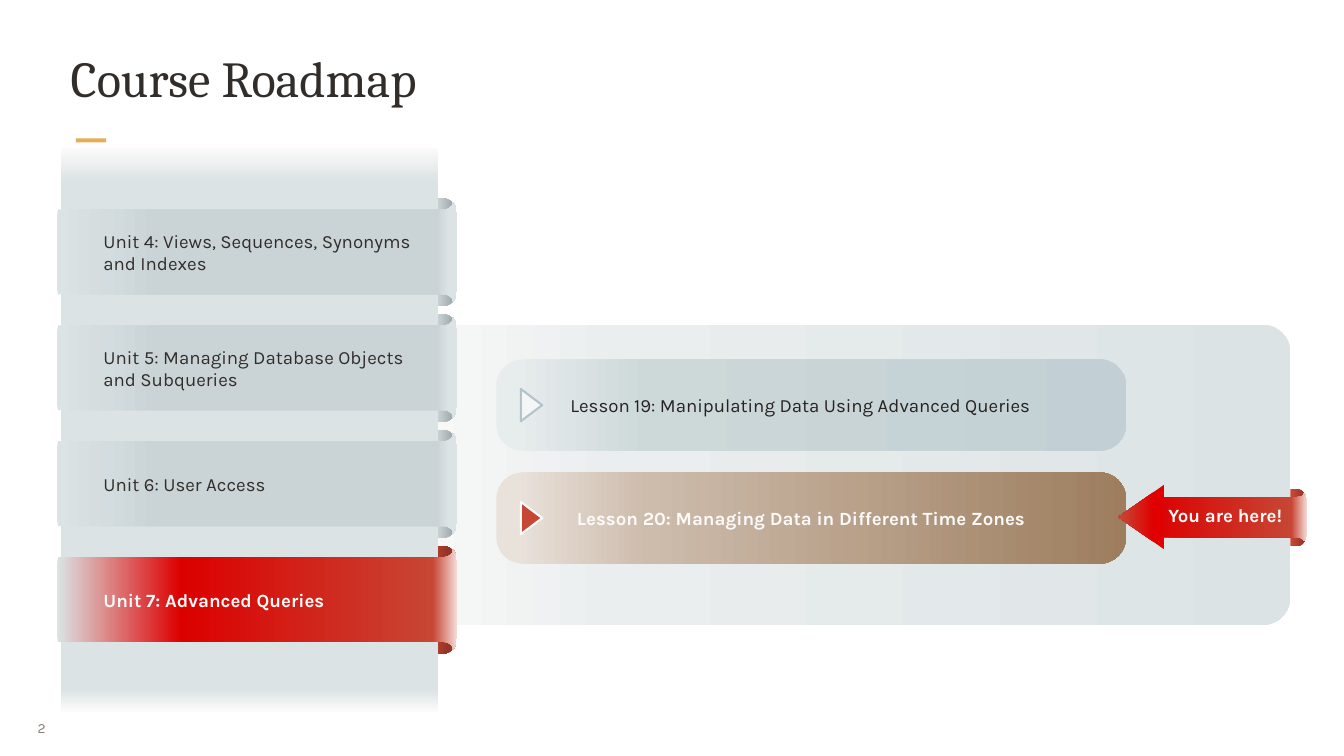
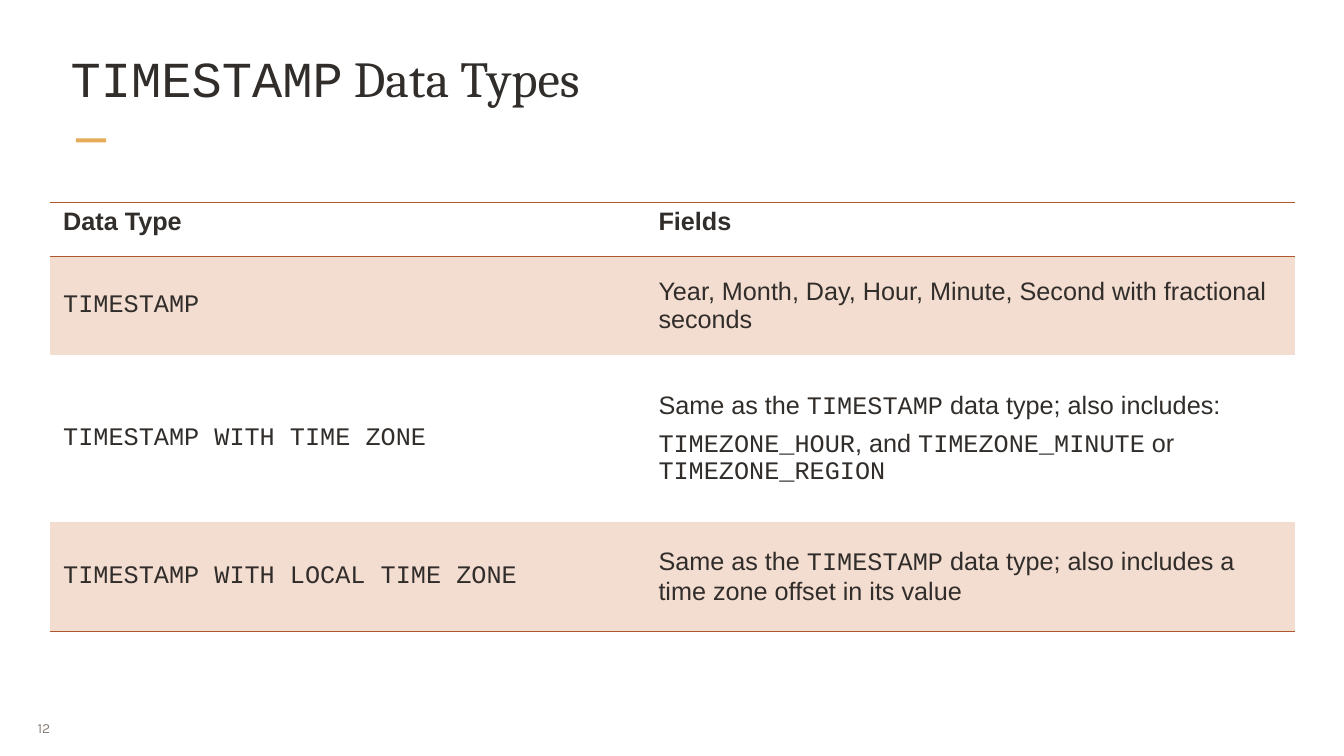
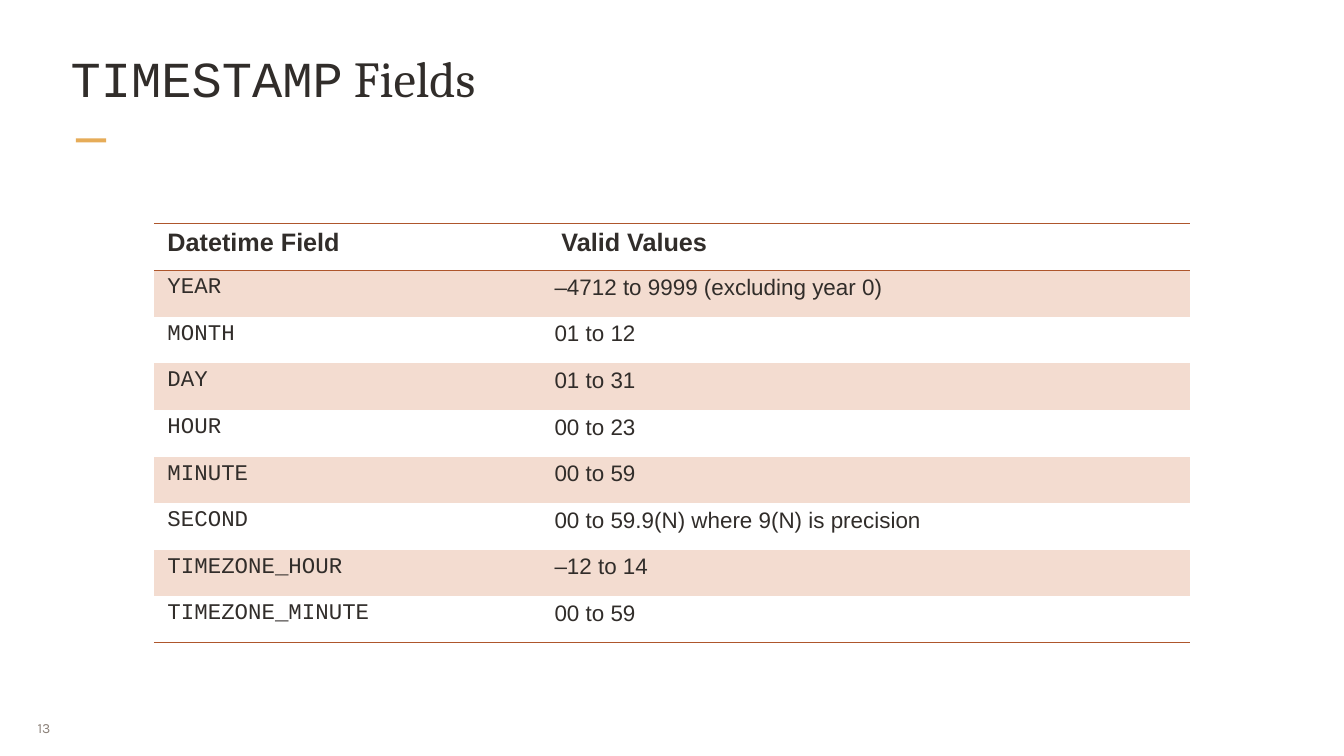
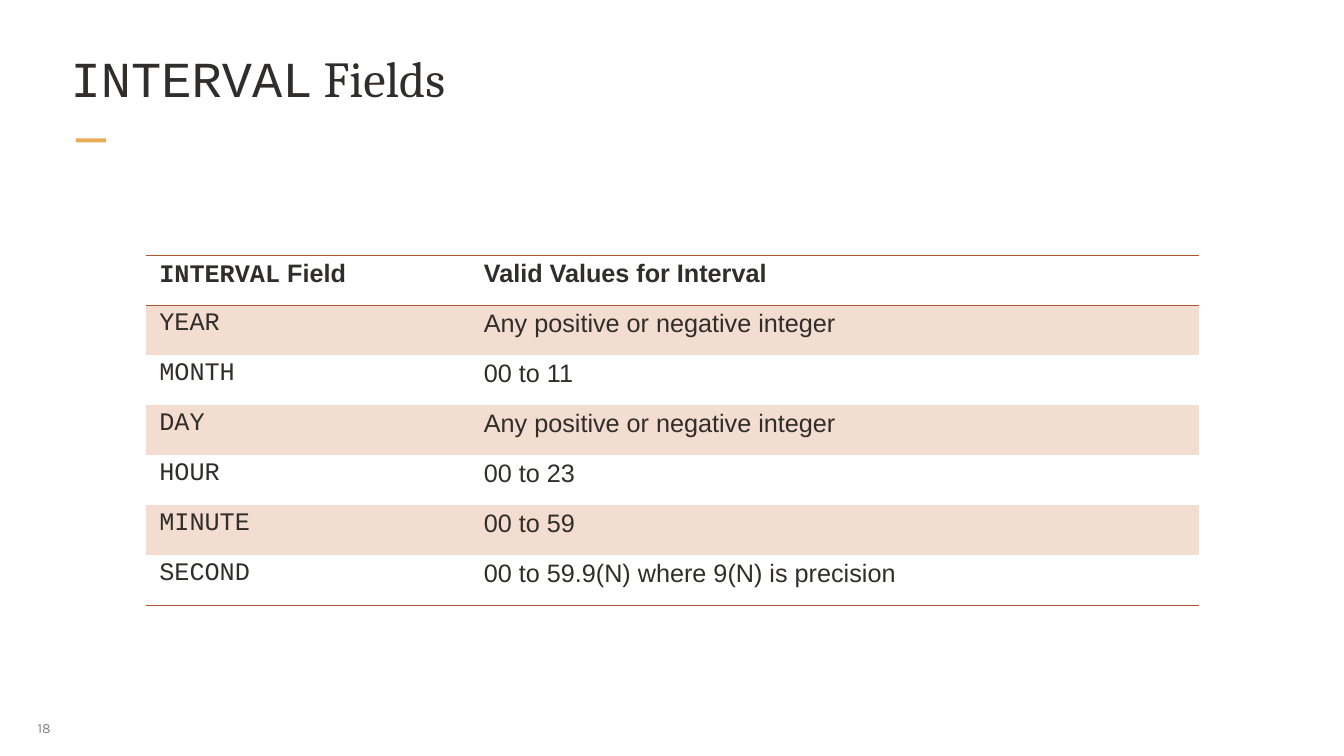
from lxml.etree import SubElement
from pptx import Presentation
from pptx.dml.color import RGBColor
from pptx.enum.shapes import MSO_SHAPE as Kind
from pptx.enum.text import MSO_ANCHOR as Anchor, MSO_AUTO_SIZE as Fit, PP_ALIGN as Align
from pptx.oxml.ns import qn
from pptx.util import Cm, Pt

COLORS = {
    "ink": "312D2A", "dark": "252220", "gray": "8B8078", "gold": "E6AC58",
    "paper": "FCFBFA", "blush": "F3DCD0", "rust": "AE562C", "brick": "C74634",
    "red": "DC0000", "flame": "E00000", "wine": "953427", "rose": "F4DAD6",
    "mist": "DCE3E4", "haze": "EAEEEF", "fog": "DEE4E5", "steel": "96A2A7",
    "slate": "CAD4D7", "sand": "E9E2DB", "tan": "CDBCAC", "brown": "9D7D5E",
    "ice": "E7ECED", "sage": "CDD8D9", "sky": "C2CFD4", "frost": "F3F5F6",
    "edge": "B4C3C9",
}
FADES = {
    "panel": (0, [(0, "paper"), (26, "haze"), (100, "mist")]),
    "column": (90, [(0, "paper"), (6, "mist"), (96, "mist"), (100, "paper")]),
    "fold": (0, [(77, "fog"), (99, "steel")]),
    "fold now": (0, [(73, "brick"), (92, "wine")]),
    "unit": (0, [(0, "mist"), (25, "slate"), (95, "slate"), (98, "mist")]),
    "unit now": (0, [(0, "mist"), (31, "red"), (94, "brick"), (100, "rose")]),
    "lesson": (0, [(3, "ice"), (24, "sage"), (100, "sky")]),
    "lesson now": (0, [(3, "sand"), (24, "tan"), (100, "brown")]),
    "flag fold": (0, [(11, "brick"), (92, "wine")]),
    "flag": (0, [(0, "red"), (90, "brick"), (100, "rose")]),
    "tip": (270, [(0, "flame"), (23, "flame"), (96, "brick")]),
}
FORMATS = {
    "title": {"name": "Cambria", "size": Pt(54), "color": "ink"},
    "number": {"name": "Karla", "size": Pt(15), "color": "gray"},
    "unit": {"name": "Karla", "size": Pt(20), "color": "ink"},
    "lesson": {"name": "Karla", "size": Pt(20), "color": "dark"},
    "now": {"name": "Karla", "size": Pt(20), "color": "paper", "bold": True},
    "head": {"name": "Arial", "size": Pt(27), "color": "ink", "bold": True},
    "cell": {"name": "Arial", "size": Pt(27), "color": "ink", "bold": False},
    "small": {"name": "Arial", "size": Pt(24), "color": "ink", "bold": False},
}
CODE = "Courier New"


def tint(name):
    return RGBColor.from_string(COLORS[name])


def lengths(*values):
    return [Cm(value) for value in values]


def bend(start, one, two, end, steps=8):
    points = []
    for step in range(1, steps + 1):
        t = step / steps
        parts = ((1 - t) ** 3, 3 * t * (1 - t) ** 2, 3 * t * t * (1 - t), t ** 3)
        knots = (start, one, two, end)
        points.append(tuple(sum(p * k[axis] for p, k in zip(parts, knots)) for axis in (0, 1)))
    return points


UNIT_EDGE = [
    (0, 0.51), (0.03, 0.3), (14.63, 0.3),
    *bend((14.63, 0.3), (14.76, 0.3), (14.86, 0.23), (14.94, 0.13)), (14.96, 0),
    *bend((14.96, 0), (15.06, 0.13), (15.11, 0.3), (15.11, 0.51)),
]
FLAG_EDGE = [
    (0, 0.15), (5.46, 0.15),
    *bend((5.46, 0.15), (5.56, 0.15), (5.64, 0.13), (5.69, 0.08)), (5.72, 0),
    *bend((5.72, 0), (5.79, 0.08), (5.84, 0.15), (5.84, 0.25)),
]
FOLD_EDGE = [(0, 0), (0.23, 0), *bend((0.23, 0), (0.43, 0), (0.58, 0.18), (0.58, 0.38))]


class Deck:
    def __init__(self):
        self.show = Presentation()
        self.show.slide_width, self.show.slide_height = lengths(50.8, 28.58)

    def page(self, title, number):
        self.slide = self.show.slides.add_slide(self.show.slide_layouts[5])
        self.shapes = self.slide.shapes
        head = self.shapes.title
        head.left, head.top, head.width, head.height = lengths(2.59, 1.7, 45.62, 3.25)
        self.frame(head.text_frame, 0.08, 0.08, vertical_anchor=Anchor.TOP,
                   word_wrap=True, auto_size=Fit.NONE)
        self.words(head.text_frame, title, "title")
        self.box(Kind.RECTANGLE, 2.87, 5.23, 1.14, 0.15, "gold")
        foot = self.text(number, 1.09, 26.77, 1.65, 1.47, "number", Align.JUSTIFY)
        self.frame(foot.text_frame, 0.33, 0.18, word_wrap=False, auto_size=Fit.NONE)

    def group(self):
        self.shapes = self.slide.shapes.add_group_shape().shapes

    def frame(self, frame, side, edge, **formats):
        formats.update(margin_left=Cm(side), margin_right=Cm(side),
                       margin_top=Cm(edge), margin_bottom=Cm(edge))
        for key, value in formats.items():
            setattr(frame, key, value)

    def words(self, frame, words, style, align=Align.LEFT):
        for index, line in enumerate(words.split("\n")):
            para = frame.add_paragraph() if index else frame.paragraphs[0]
            para.alignment = align
            if "\n" in words:
                para.line_spacing = 0.95
            if index:
                para.space_before = Pt(9)
            for turn, part in enumerate(line.split("`")):
                if not part:
                    continue
                run = para.add_run()
                run.text = part
                for key, value in FORMATS[style].items():
                    if key == "color":
                        run.font.color.rgb = tint(value)
                    else:
                        setattr(run.font, key, value)
                if turn % 2:
                    run.font.name = CODE

    def text(self, words, x, y, w, h, style, align=Align.LEFT, anchor=Anchor.MIDDLE):
        box = self.shapes.add_textbox(*lengths(x, y, w, h))
        self.frame(box.text_frame, 0.25, 0.13, word_wrap=True,
                   vertical_anchor=anchor, auto_size=Fit.SHAPE_TO_FIT_TEXT)
        self.words(box.text_frame, words, style, align)
        return box

    def paint(self, shape, fill, line=None):
        shape.shadow.inherit = False
        if fill in FADES:
            angle, stops = FADES[fill]
            shape.fill.gradient()
            shape.fill.gradient_angle = (360 - angle) % 360
            ramp = shape.element.spPr.find(qn("a:gradFill")).find(qn("a:gsLst"))
            for stop in list(ramp):
                ramp.remove(stop)
            for place, name in stops:
                stop = SubElement(ramp, qn("a:gs"), pos=str(place * 1000))
                SubElement(stop, qn("a:srgbClr"), val=COLORS[name])
        else:
            shape.fill.solid()
            shape.fill.fore_color.rgb = tint(fill)
        if line:
            shape.line.color.rgb = tint(line)
            shape.line.width = Pt(2.25)
        else:
            shape.line.fill.background()

    def box(self, kind, x, y, w, h, fill, line=None, curve=None, turn=0):
        shape = self.shapes.add_shape(kind, *lengths(x, y, w, h))
        if curve:
            shape.adjustments[0] = curve
        shape.rotation = turn
        self.paint(shape, fill, line)

    def ribbon(self, x, y, height, edge, fill):
        outline = edge + [(px, height - py) for px, py in reversed(edge)]
        points = [tuple(lengths(x + px, y + py)) for px, py in outline]
        pen = self.shapes.build_freeform(*points[0])
        pen.add_line_segments(points[1:], close=True)
        self.paint(pen.convert_to_shape(), fill)

    def border(self, cell, side):
        line = SubElement(cell._tc.get_or_add_tcPr(), qn("a:" + side), w=str(Pt(1)))
        SubElement(SubElement(line, qn("a:solidFill")), qn("a:srgbClr"), val=COLORS["rust"])

    def table(self, x, y, widths, heights, rows, style="cell", anchor=Anchor.TOP):
        holder = self.shapes.add_table(len(rows), len(widths),
                                       *lengths(x, y, sum(widths), sum(heights)))
        for tag in holder.element.iter(qn("a:tableStyleId")):
            tag.text = "{2D5ABB26-0587-4C30-8999-92F81FD0307C}"
        grid = holder.table
        grid.first_row = grid.horz_banding = False
        for column, width in zip(grid.columns, widths):
            column.width = Cm(width)
        for r, (row, height) in enumerate(zip(rows, heights)):
            grid.rows[r].height = Cm(height)
            for c, words in enumerate(row):
                cell = grid.cell(r, c)
                if r == 0:
                    self.border(cell, "lnT")
                if r in (0, len(rows) - 1):
                    self.border(cell, "lnB")
                self.frame(cell, 0.51, 0.18, vertical_anchor=anchor if r else Anchor.TOP)
                if r % 2:
                    cell.fill.solid()
                    cell.fill.fore_color.rgb = tint("blush")
                else:
                    cell.fill.background()
                if r and c == 0:
                    words = f"`{words}`"
                self.words(cell.text_frame, words, style if r else "head")
        return grid


def roadmap(deck):
    deck.page("Course Roadmap", "2")
    deck.box(Kind.ROUNDED_RECTANGLE, 14.17, 12.29, 34.59, 11.33, "panel", curve=0.09)
    lessons = [
        ("Lesson 19: Manipulating Data Using Advanced Queries", 13.59, 21.31, 18.72,
         "lesson", "lesson", "frost", "edge"),
        ("Lesson 20: Managing Data in Different Time Zones", 17.86, 21.56, 19.15,
         "lesson now", "now", "brick", "paper"),
    ]
    for words, y, x, w, fade, style, fill, line in lessons:
        deck.box(Kind.ROUNDED_RECTANGLE, 18.76, y, 23.8, 3.45, fade, curve=0.29)
        deck.text(words, x, y + 1.17, w, 1.12, style)
        deck.box(Kind.ISOSCELES_TRIANGLE, 19.48, y + 1.32, 1.22, 0.81, fill, line, turn=90)

    units = [
        ("Unit 4: Views, Sequences, Synonyms and Indexes", 12.22, 1.96, ""),
        ("Unit 5: Managing Database Objects and Subqueries", 12.42, 1.96, ""),
        ("Unit 6: User Access", 9.22, 1.12, ""),
        ("Unit 7: Advanced Queries", 9.22, 1.12, " now"),
    ]
    tops = [7.62 + 4.38 * index for index in range(len(units))]
    for top, unit in zip(tops, units):
        deck.box(Kind.ROUNDED_RECTANGLE, 13.23, top - 0.13, 4.01, 4.09,
                 "fold" + unit[3], curve=0.13)
    deck.box(Kind.RECTANGLE, 2.31, 5.59, 14.25, 21.31, "column")
    for top, (words, w, h, state) in zip(tops, units):
        deck.ribbon(2.16, top, 3.81, UNIT_EDGE, "unit" + state)
        deck.text(words, 3.66, top + 1.91 - h / 2, w, h, "now" if state else "unit")

    deck.group()
    deck.ribbon(48.77, 18.49, 2.16, FOLD_EDGE, "flag fold")
    deck.ribbon(43.56, 18.64, 1.83, FLAG_EDGE, "flag")
    deck.box(Kind.ISOSCELES_TRIANGLE, 41.91, 18.67, 2.46, 1.75, "tip", turn=270)
    deck.text("You are here!", 43.56, 18.92, 5.51, 1.14, "now", Align.CENTER, Anchor.TOP)


def types(deck):
    deck.page("`TIMESTAMP` Data Types", "12")
    deck.table(1.88, 7.67, [22.5, 24.56], [2.03, 3.73, 6.32, 4.11], [
        ("Data Type", "Fields"),
        ("TIMESTAMP", "Year, Month, Day, Hour, Minute, Second with fractional seconds"),
        ("TIMESTAMP WITH TIME ZONE",
         "Same as the `TIMESTAMP` data type; also includes:\n"
         "`TIMEZONE_HOUR`, and `TIMEZONE_MINUTE` or `TIMEZONE_REGION`"),
        ("TIMESTAMP WITH LOCAL TIME ZONE",
         "Same as the `TIMESTAMP` data type; also includes a time zone offset in its value"),
    ], anchor=Anchor.MIDDLE)


def stamps(deck):
    deck.page("`TIMESTAMP` Fields", "13")
    grid = deck.table(5.82, 8.46, [14.63, 24.54], [1.76] * 9, [
        ("Datetime Field", "Valid Values"),
        ("YEAR", "–4712 to 9999 (excluding year 0)"),
        ("MONTH", "01 to 12"),
        ("DAY", "01 to 31"),
        ("HOUR", "00 to 23"),
        ("MINUTE", "00 to 59"),
        ("SECOND", "00 to 59.9(N) where 9(N) is precision"),
        ("TIMEZONE_HOUR", "–12 to 14"),
        ("TIMEZONE_MINUTE", "00 to 59"),
    ], "small")
    grid.cell(0, 1).margin_left = Cm(0.77)


def spans(deck):
    deck.page("`INTERVAL` Fields", "18")
    deck.table(5.51, 9.65, [12.27, 27.53], [1.89] * 7, [
        ("`INTERVAL` Field", "Valid Values for Interval"),
        ("YEAR", "Any positive or negative integer"),
        ("MONTH", "00 to 11"),
        ("DAY", "Any positive or negative integer"),
        ("HOUR", "00 to 23"),
        ("MINUTE", "00 to 59"),
        ("SECOND", "00 to 59.9(N) where 9(N) is precision"),
    ])


def main():
    deck = Deck()
    for build in (roadmap, types, stamps, spans):
        build(deck)
    deck.show.save("out.pptx")


if __name__ == "__main__":
    main()
